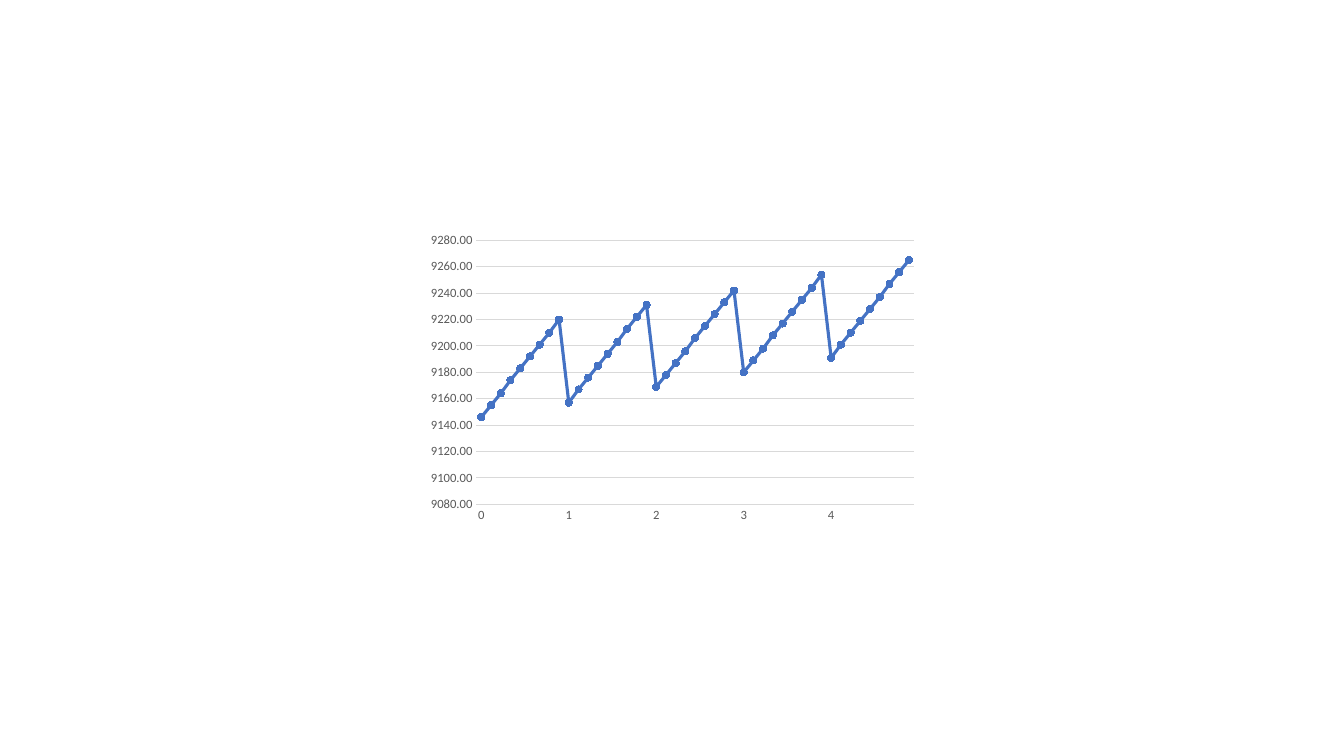
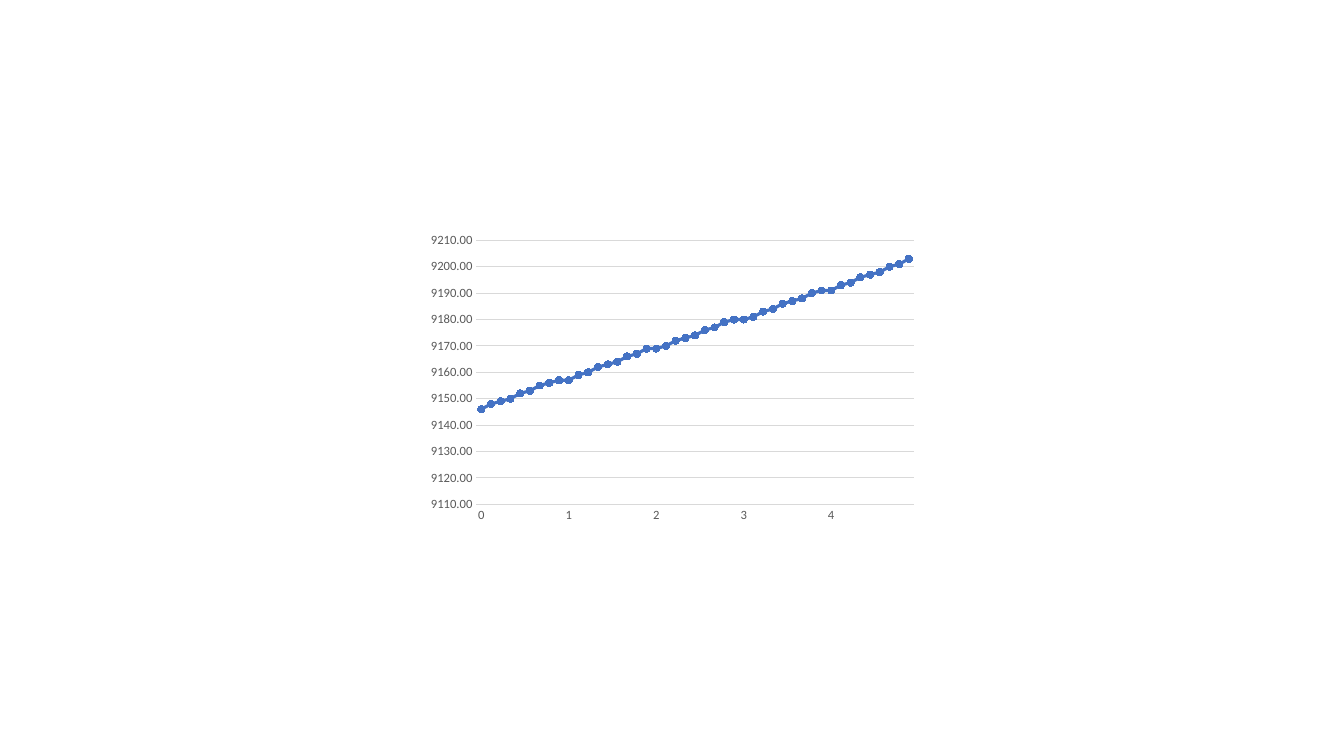
from lxml.etree import SubElement
from pptx import Presentation
from pptx.chart.data import CategoryChartData
from pptx.dml.color import RGBColor
from pptx.enum.chart import XL_CHART_TYPE, XL_MARKER_STYLE, XL_TICK_MARK
from pptx.oxml.ns import qn
from pptx.util import Cm, Pt

GROUPS, POINTS = 5, 9
FIRST_VALUE, GROUP_STEP = 9146.1, 11.3
CHARTS = [
    {"point_step": 9.2, "minimum": 9080, "maximum": 9280, "major_unit": 20},
    {"point_step": GROUP_STEP / (POINTS - 1), "minimum": 9110, "maximum": 9210, "major_unit": 10},
]
COLORS = {"background": "FFFFFF", "series": "4472C4", "label": "595959",
          "grid": "D9D9D9", "text": "000000"}
FONT = "Calibri"
SLIDE_WIDTH, SLIDE_HEIGHT = Cm(33.87), Cm(19.05)
CHART_WIDTH, CHART_HEIGHT = Cm(12.7), Cm(7.62)
PLOT_AREA = {"x": 0.112, "y": 0.045, "w": 0.868, "h": 0.873}


def color(name):
    """Return a named colour."""
    return RGBColor.from_string(COLORS[name])


def format_font(font, size=9, color_name="label"):
    """Set the typeface, size and colour of chart text."""
    font.name, font.size = FONT, Pt(size)
    font.color.rgb = color(color_name)


def format_line(line, color_name, width=0.75):
    """Set the colour and width of a line."""
    line.color.rgb = color(color_name)
    line.width = Pt(width)


def format_axis(axis):
    """Apply what both axes share."""
    axis.major_tick_mark = axis.minor_tick_mark = XL_TICK_MARK.NONE
    format_font(axis.tick_labels.font)


def place_plot(chart):
    """Fix the inner plot rectangle as fractions of the chart."""
    plot_area = chart.plots[0]._element.getparent()
    layout = plot_area.find(qn("c:layout"))
    if layout is None:
        layout = SubElement(plot_area, qn("c:layout"))
        plot_area.insert(0, layout)
    manual = SubElement(layout, qn("c:manualLayout"))
    settings = {"layoutTarget": "inner", "xMode": "edge", "yMode": "edge", **PLOT_AREA}
    for name, value in settings.items():
        SubElement(manual, qn(f"c:{name}")).set("val", str(value))


def chart_data(point_step):
    """Build groups of rising points, each group starting one step higher."""
    data = CategoryChartData(number_format="0.00")
    data.categories = [str(group) if point == 0 else ""
                       for group in range(GROUPS) for point in range(POINTS)]
    data.add_series("Series 1", [
        round(FIRST_VALUE + group * GROUP_STEP + point * point_step)
        for group in range(GROUPS) for point in range(POINTS)])
    return data


def add_line_chart(slide, point_step, minimum, maximum, major_unit):
    """Add a centred line chart with markers."""
    left = (SLIDE_WIDTH - CHART_WIDTH) // 2
    top = (SLIDE_HEIGHT - CHART_HEIGHT) // 2
    chart = slide.shapes.add_chart(XL_CHART_TYPE.LINE_MARKERS, left, top, CHART_WIDTH,
                                   CHART_HEIGHT, chart_data(point_step)).chart
    chart.has_title = chart.has_legend = False
    format_font(chart.font, size=10, color_name="text")
    place_plot(chart)

    category_axis, value_axis = chart.category_axis, chart.value_axis
    format_axis(category_axis)
    format_line(category_axis.format.line, "grid")
    format_axis(value_axis)
    value_axis.format.line.fill.background()
    value_axis.has_major_gridlines = True
    format_line(value_axis.major_gridlines.format.line, "grid")
    value_axis.minimum_scale, value_axis.maximum_scale = minimum, maximum
    value_axis.major_unit = major_unit
    value_axis.tick_labels.number_format = "0.00"
    value_axis.tick_labels.number_format_is_linked = False

    chart.plots[0].vary_by_categories = False
    series = chart.plots[0].series[0]
    series.smooth = False
    format_line(series.format.line, "series", width=2.25)
    marker = series.marker
    marker.style, marker.size = XL_MARKER_STYLE.CIRCLE, 5
    marker.format.fill.solid()
    marker.format.fill.fore_color.rgb = color("series")
    format_line(marker.format.line, "series")


presentation = Presentation()
presentation.slide_width, presentation.slide_height = SLIDE_WIDTH, SLIDE_HEIGHT
background = presentation.slide_master.background.fill
background.solid()
background.fore_color.rgb = color("background")
for settings in CHARTS:
    add_line_chart(presentation.slides.add_slide(presentation.slide_layouts[6]), **settings)
presentation.save("out.pptx")
